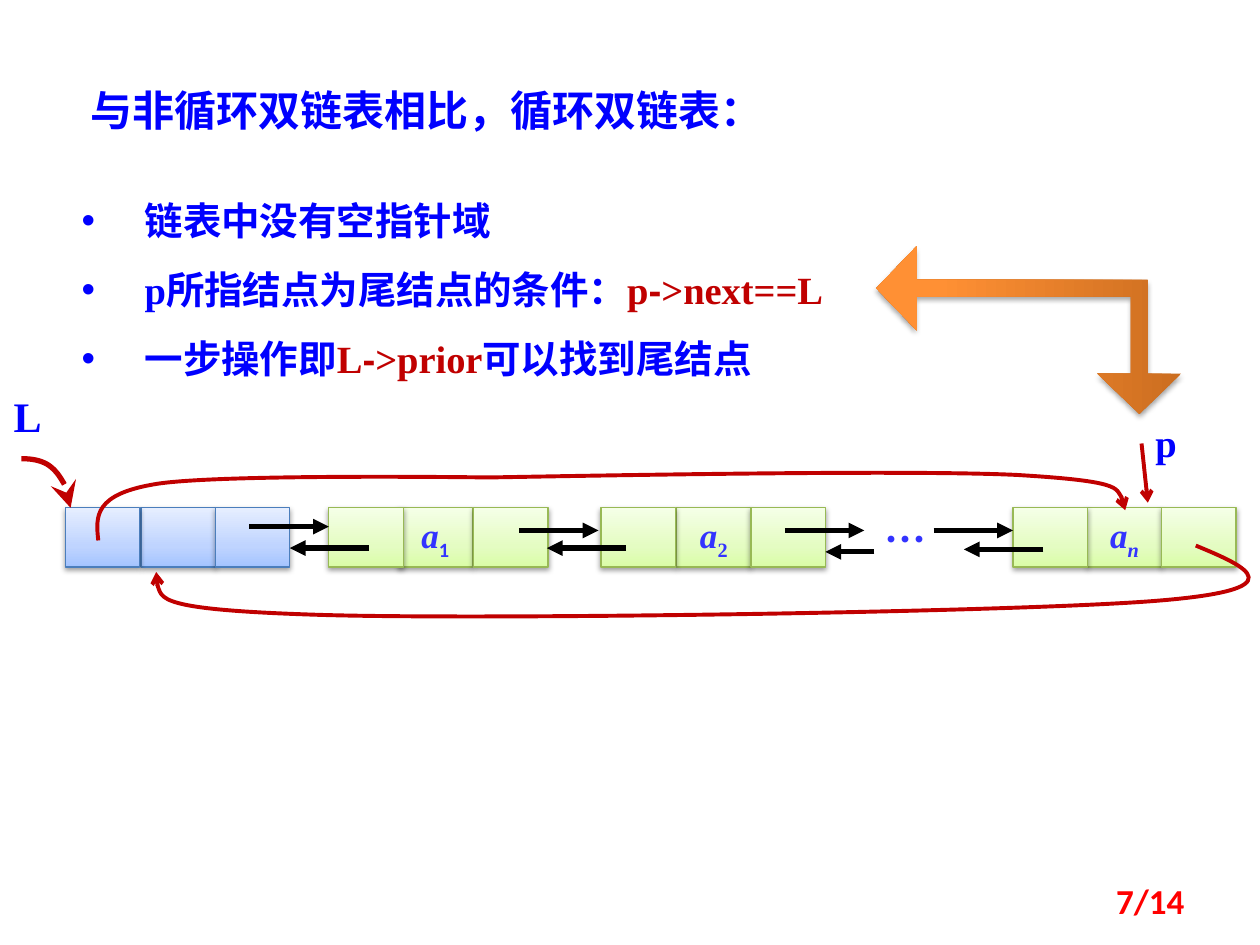
"""Builds the slide on circular doubly linked lists."""
from dataclasses import dataclass

from lxml.etree import SubElement
from pptx import Presentation
from pptx.dml.color import RGBColor
from pptx.enum.shapes import MSO_CONNECTOR, MSO_SHAPE
from pptx.enum.text import MSO_ANCHOR, MSO_AUTO_SIZE, PP_ALIGN
from pptx.oxml import parse_xml
from pptx.oxml.ns import nsdecls, qn
from pptx.util import Emu, Pt

EMU_PER_PX = 9144
BLUE = RGBColor(0x00, 0x00, 0xFF)
VIOLET = RGBColor(0x33, 0x33, 0xFF)
DARK_RED = RGBColor(0xC0, 0x00, 0x00)
RED = RGBColor(0xFF, 0x00, 0x00)
BLACK = RGBColor(0x00, 0x00, 0x00)
HEADER_LINE = RGBColor(0x4B, 0x7E, 0xBC)
NODE_LINE = RGBColor(0x98, 0xB9, 0x55)
HEADER_STOPS = ((0, RGBColor(0xA4, 0xC4, 0xFF)), (35, RGBColor(0xBF, 0xD4, 0xFF)),
                (100, RGBColor(0xE6, 0xEE, 0xFF)))
NODE_STOPS = ((0, RGBColor(0xDA, 0xFD, 0xA7)), (35, RGBColor(0xE4, 0xFC, 0xC2)),
              (100, RGBColor(0xF5, 0xFF, 0xE7)))
ORANGE_STOPS = ((0, RGBColor(0xCC, 0x6E, 0x20)), (80, RGBColor(0xFF, 0x90, 0x34)),
                (100, RGBColor(0xFF, 0x91, 0x36)))
SERIF, SANS, CJK = "Times New Roman", "Calibri", "Noto Sans CJK SC"
CELL_TOP, CELL_WIDTH, CELL_HEIGHT = 403, 59, 47


@dataclass(frozen=True)
class Span:
    text: str
    color: RGBColor = BLUE
    size: int = 22
    font: str = SERIF
    italic: bool = False
    subscript: bool = False


@dataclass(frozen=True)
class Label:
    box: tuple[int, int, int, int]
    paragraphs: tuple[tuple[Span, ...], ...]
    align: PP_ALIGN = PP_ALIGN.LEFT
    bulleted: bool = False
    grows: bool = True


@dataclass(frozen=True)
class Node:
    lefts: tuple[int, int, int]
    stops: tuple = NODE_STOPS
    outline: RGBColor = NODE_LINE
    data: tuple[Span, ...] = ()


@dataclass(frozen=True)
class Link:
    start: tuple[int, int]
    end: tuple[int, int]
    color: RGBColor = BLACK
    width: float = 3
    head: str = "triangle"


@dataclass(frozen=True)
class Curve:
    points: tuple[tuple[int, int], ...]
    width: float = 2.25
    head: str = "arrow"
    head_size: str = "med"


def px(length: int) -> Emu:
    return Emu(length * EMU_PER_PX)


def element(name: str) -> list[Span]:
    return (Span("a", VIOLET, 20, italic=True),
            Span(name, VIOLET, 20, SANS if name == "1" else SERIF, name == "n", True))


CODE_DASH = Span("-", DARK_RED, font="Arial")
LABELS = (
    Label((55, 133, 695, 177), (
        (Span("链表中没有空指针域"),),
        (Span("p所指结点为尾结点的条件："), Span("p", DARK_RED), CODE_DASH,
         Span(">next==L", DARK_RED)),
        (Span("一步操作即"), Span("L", DARK_RED), CODE_DASH, Span(">prior", DARK_RED),
         Span("可以找到尾结点")),
    ), bulleted=True),
    Label((62, 62, 594, 50), ((Span("与非循环双链表相比，循环双链表：", size=24, font=CJK),),)),
    Label((1, 305, 47, 50), ((Span("L", size=24),),)),
    Label((687, 403, 63, 50), ((Span("…", VIOLET, 24, CJK),),), PP_ALIGN.CENTER),
    Label((906, 328, 39, 47), ((Span("p"),),), PP_ALIGN.CENTER),
    Label((717, 695, 233, 40), ((Span("7/14", RED, 20, SANS),),), PP_ALIGN.RIGHT, grows=False),
)
NODES = (
    Node((52, 112, 171), HEADER_STOPS, HEADER_LINE),
    Node((261, 316, 376), data=element("1")),
    Node((477, 537, 596), data=element("2")),
    Node((804, 863, 922), data=element("n")),
)
LINKS = (
    Link((198, 418), (261, 418)),
    *(Link((left, 421), (left + 63, 421)) for left in (412, 623, 741)),
    Link((293, 435), (230, 435)),
    Link((497, 435), (434, 435)),
    Link((694, 438), (655, 438)),
    Link((828, 436), (765, 436)),
    Link((906, 352), (911, 399), DARK_RED, 2.25, "arrow"),
)
CURVES = (
    Curve(((17, 364), (38, 364), (56, 382), (56, 403)), 3, "stealth", "lg"),
    Curve(((949, 433), (990, 450), (1031, 468), (916, 477), (800, 486), (386, 492),
           (254, 488), (122, 484), (123, 469), (124, 454))),
    Curve(((78, 429), (76, 410), (74, 392), (125, 384), (177, 376), (388, 379), (388, 379),
           (501, 377), (723, 373), (807, 377), (891, 382), (892, 393), (893, 405))),
)


def write(paragraph, spans: tuple[Span, ...]) -> None:
    for span in spans:
        run = paragraph.add_run()
        run.text = span.text
        font = run.font
        font.size, font.bold, font.italic = Pt(span.size), True, span.italic
        font.color.rgb = span.color
        font.name = span.font
        properties = run._r.get_or_add_rPr()
        SubElement(properties, qn("a:ea"), typeface=CJK)
        if span.subscript:
            properties.set("baseline", "-25000")


def draw_label(shapes, label: Label) -> None:
    frame = shapes.add_textbox(*map(px, label.box)).text_frame
    frame.word_wrap = True
    frame.auto_size = MSO_AUTO_SIZE.SHAPE_TO_FIT_TEXT if label.grows else MSO_AUTO_SIZE.NONE
    frame.vertical_anchor = MSO_ANCHOR.TOP if label.grows else MSO_ANCHOR.MIDDLE
    for index, spans in enumerate(label.paragraphs):
        paragraph = frame.add_paragraph() if index else frame.paragraphs[0]
        paragraph.alignment = label.align
        if label.bulleted:
            paragraph.line_spacing = 1.5
            properties = paragraph._p.get_or_add_pPr()
            properties.set("marL", str(px(50)))
            properties.set("indent", str(px(-50)))
            SubElement(properties, qn("a:buFont"), typeface="Arial")
            SubElement(properties, qn("a:buChar"), char="•")
        write(paragraph, spans)


def shade(shape, stops: tuple, distance: float, opacity: int) -> None:
    listed = "".join(f'<a:gs pos="{at * 1000}"><a:srgbClr val="{color}"/></a:gs>'
                     for at, color in stops)
    shape.fill.background()
    blank = shape._element.spPr.find(qn("a:noFill"))
    blank.getparent().replace(blank, parse_xml(
        f'<a:gradFill {nsdecls("a")} rotWithShape="1"><a:gsLst>{listed}</a:gsLst>'
        '<a:lin ang="16200000" scaled="0"/></a:gradFill>'))
    shape.shadow.inherit = False
    shape._element.spPr.find(qn("a:effectLst")).append(parse_xml(
        f'<a:outerShdw {nsdecls("a")} blurRad="{Pt(3.1)}" dist="{Pt(distance)}" dir="5400000" '
        f'rotWithShape="0"><a:srgbClr val="000000"><a:alpha val="{opacity * 1000}"/>'
        '</a:srgbClr></a:outerShdw>'))


def draw_node(shapes, node: Node) -> None:
    before, data, after = node.lefts
    for left in (data, after, before):
        cell = shapes.add_shape(MSO_SHAPE.RECTANGLE, px(left), px(CELL_TOP),
                                px(CELL_WIDTH), px(CELL_HEIGHT))
        shade(cell, node.stops, 1.6, 38)
        cell.line.color.rgb = node.outline
        cell.line.width = Pt(0.75)
        if left == data and node.data:
            frame = cell.text_frame
            frame.word_wrap = False
            frame.vertical_anchor = MSO_ANCHOR.MIDDLE
            frame.paragraphs[0].alignment = PP_ALIGN.CENTER
            write(frame.paragraphs[0], node.data)


def style_line(line, color: RGBColor, width: float, head: str, size: str = "med") -> None:
    line.color.rgb = color
    line.width = Pt(width)
    SubElement(line._get_or_add_ln(), qn("a:tailEnd"), type=head, w=size, len=size)


def draw_link(shapes, link: Link) -> None:
    connector = shapes.add_connector(MSO_CONNECTOR.STRAIGHT, *map(px, link.start + link.end))
    style_line(connector.line, link.color, link.width, link.head)
    SubElement(connector._element.spPr, qn("a:effectLst"))


def draw_curve(shapes, curve: Curve) -> None:
    builder = shapes.build_freeform(*curve.points[0], scale=EMU_PER_PX)
    builder.add_line_segments(curve.points[1:], close=False)
    outline = builder.convert_to_shape()
    outline.fill.background()
    outline.shadow.inherit = False
    style_line(outline.line, DARK_RED, curve.width, curve.head, curve.head_size)
    track = outline._element.spPr.find(".//" + qn("a:path"))
    segments = track.findall(qn("a:lnTo"))
    for first in range(0, len(segments), 3):
        bezier = SubElement(track, qn("a:cubicBezTo"))
        for segment in segments[first:first + 3]:
            bezier.append(segment[0])
            track.remove(segment)


def draw_turn_arrow(shapes) -> None:
    arrow = shapes.add_shape(MSO_SHAPE.LEFT_UP_ARROW, px(750), px(141), px(133), px(242))
    arrow.rotation = 270
    for index, ratio in enumerate((0.1, 0.25, 0.24)):
        arrow.adjustments[index] = ratio
    shade(arrow, ORANGE_STOPS, 1.8, 35)
    arrow.line.fill.background()


def main() -> None:
    deck = Presentation()
    deck.slide_width, deck.slide_height = px(1000), px(750)
    shapes = deck.slides.add_slide(deck.slide_layouts[6]).shapes
    for draw, parts in ((draw_node, NODES), (draw_label, LABELS),
                        (draw_link, LINKS), (draw_curve, CURVES)):
        for part in parts:
            draw(shapes, part)
    draw_turn_arrow(shapes)
    deck.save("out.pptx")


if __name__ == "__main__":
    main()
